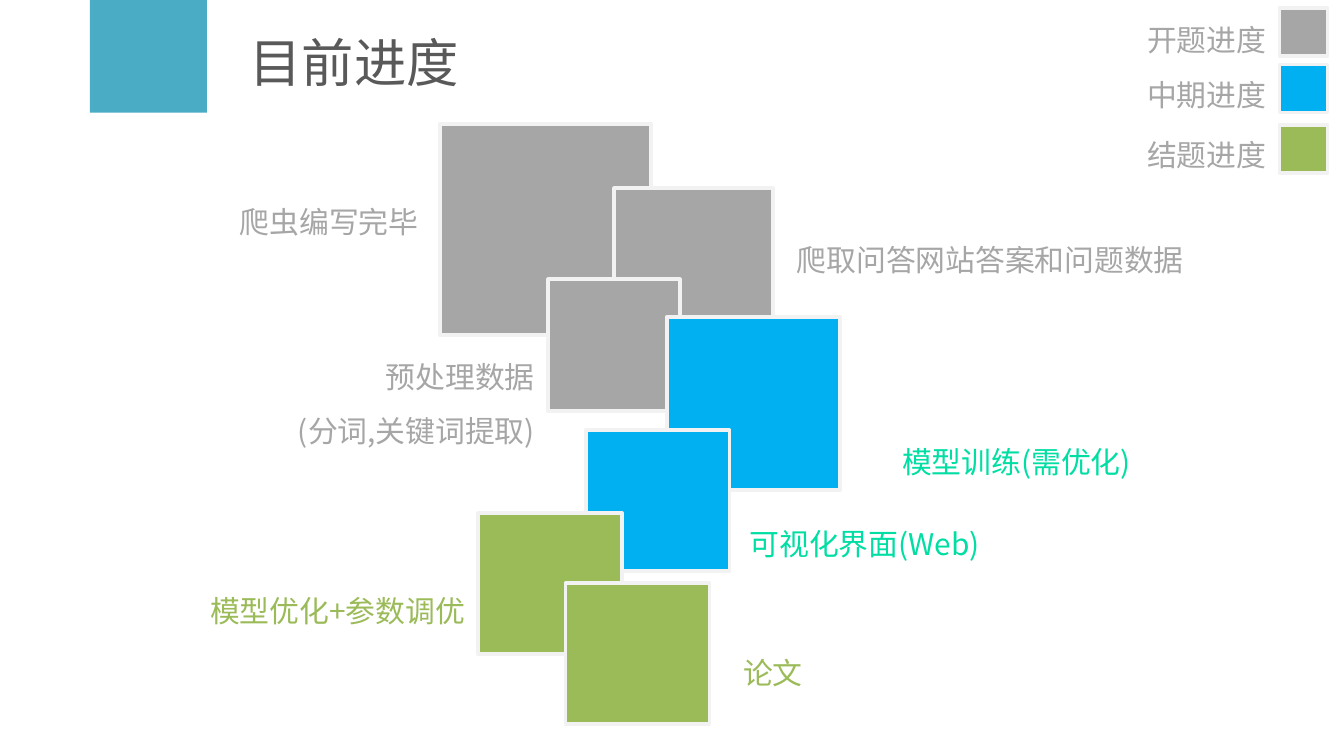
from dataclasses import dataclass

from lxml import etree
from pptx import Presentation
from pptx.dml.color import RGBColor
from pptx.enum.shapes import MSO_SHAPE
from pptx.enum.text import MSO_ANCHOR, MSO_AUTO_SIZE, PP_ALIGN
from pptx.oxml.ns import qn
from pptx.util import Cm, Pt

RECTANGLE = MSO_SHAPE.RECTANGLE
MIDDLE, TOP = MSO_ANCHOR.MIDDLE, MSO_ANCHOR.TOP
LEFT, RIGHT = PP_ALIGN.LEFT, PP_ALIGN.RIGHT
NO_RESIZE = MSO_AUTO_SIZE.NONE


@dataclass(frozen=True)
class Theme:
    font: str = "Noto Sans CJK SC"
    title_size: int = 28
    label_size: int = 16
    border_width: int = 2
    banner: str = "4BACC6"
    title: str = "595959"
    border: str = "F2F2F2"
    opening: str = "A6A6A6"
    midterm: str = "00B0F0"
    midterm_text: str = "00DEA4"
    closing: str = "9BBB59"


theme = Theme()


def add_square(left, top, width, height, color, border=None):
    square = page.shapes.add_shape(RECTANGLE, Cm(left), Cm(top), Cm(width), Cm(height))
    square.shadow.inherit = False
    square.fill.solid()
    square.fill.fore_color.rgb = RGBColor.from_string(color)
    if border:
        square.line.color.rgb = RGBColor.from_string(border)
        square.line.width = Pt(theme.border_width)
    else:
        square.line.fill.background()


def add_text(left, top, width, height, lines, color, size=theme.label_size,
             align=RIGHT, spacing=1.5, anchor=TOP):
    box = page.shapes.add_textbox(Cm(left), Cm(top), Cm(width), Cm(height))
    frame = box.text_frame
    frame.word_wrap = True
    frame.auto_size = NO_RESIZE
    frame.vertical_anchor = anchor
    for index, line in enumerate(lines):
        para = frame.add_paragraph() if index else frame.paragraphs[0]
        para.alignment = align
        para.line_spacing = spacing
        span = para.add_run()
        span.text = line
        span.font.name = theme.font
        span.font.size = Pt(size)
        span.font.color.rgb = RGBColor.from_string(color)
        east_asian = etree.SubElement(span.font._element, qn("a:ea"))
        east_asian.set("typeface", theme.font)


deck = Presentation()
deck.slide_width, deck.slide_height = Cm(25.4), Cm(14.29)
page = deck.slides.add_slide(deck.slide_layouts[6])

add_square(1.7, 0, 2.21, 2.13, theme.banner)
add_text(4.47, 0.36, 20.04, 1.6, ["目前进度"], theme.title,
         size=theme.title_size, align=LEFT, spacing=1.0, anchor=MIDDLE)

stage_squares = [
    (8.31, 2.34, 3.99, 3.99, theme.opening),
    (11.61, 3.56, 3.0, 3.0, theme.opening),
    (10.36, 5.28, 2.49, 2.49, theme.opening),
    (12.6, 5.99, 3.28, 3.28, theme.midterm),
    (11.07, 8.13, 2.72, 2.67, theme.midterm),
    (9.04, 9.7, 2.72, 2.67, theme.closing),
    (10.69, 11.02, 2.72, 2.67, theme.closing),
]
for left, top, width, height, color in stage_squares:
    add_square(left, top, width, height, color, theme.border)

stage_labels = [
    (1.96, 3.38, 6.2, ["爬虫编写完毕"], theme.opening),
    (4.75, 6.32, 5.61, ["预处理数据", "(分词,关键词提取)"], theme.opening),
    (13.03, 4.11, 9.6, ["爬取问答网站答案和问题数据"], theme.opening),
    (16.03, 7.92, 5.59, ["模型训练(需优化)"], theme.midterm_text),
    (11.61, 9.47, 7.16, ["可视化界面(Web)"], theme.midterm_text),
    (3.45, 10.74, 5.59, ["模型优化+参数调优"], theme.closing),
    (13.54, 11.91, 1.88, ["论文"], theme.closing),
]
for left, top, width, lines, color in stage_labels:
    add_text(left, top, width, 1.17 + 1.01 * (len(lines) - 1), lines, color)

legend = [
    (0.15, -0.05, "开题进度", theme.opening),
    (1.22, 0.99, "中期进度", theme.midterm),
    (2.36, 2.13, "结题进度", theme.closing),
]
for square_top, text_top, name, color in legend:
    add_square(24.18, square_top, 0.91, 0.91, color, theme.border)
    add_text(19.51, text_top, 4.67, 1.17, [name], theme.opening)

deck.save("out.pptx")
